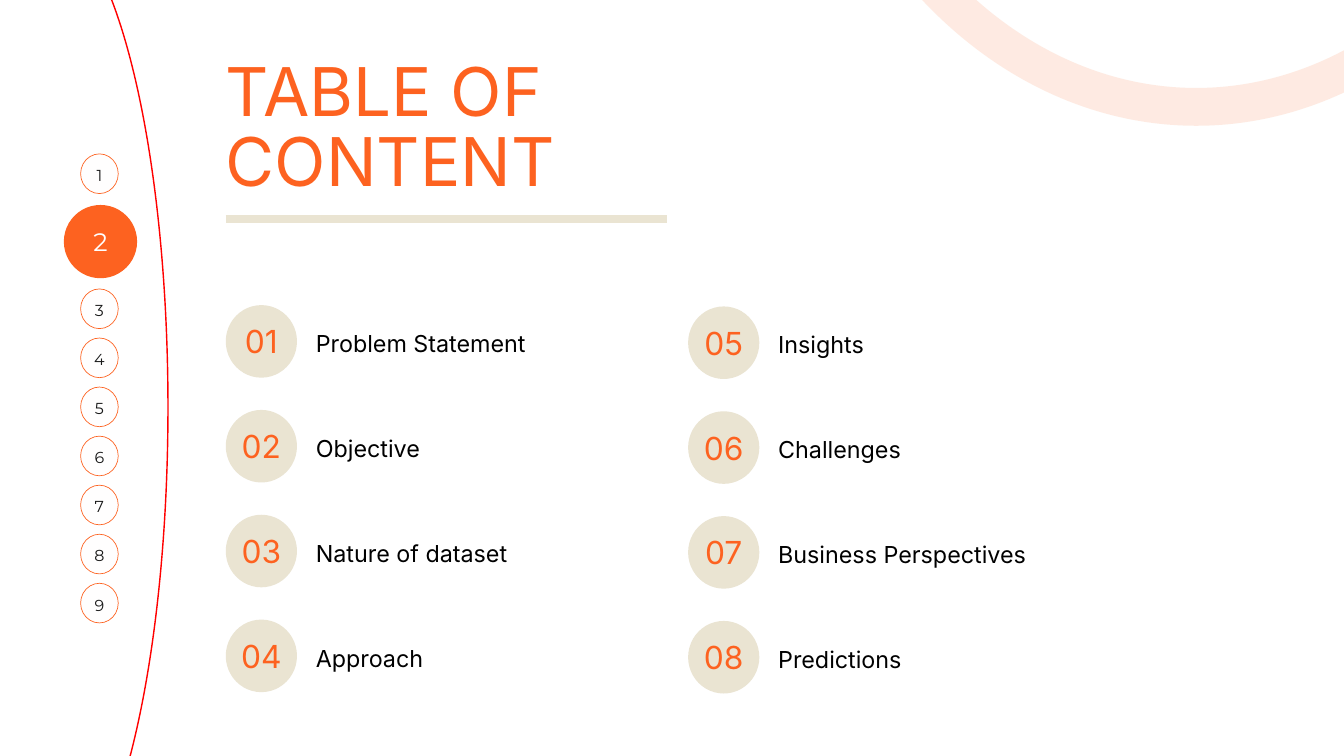
from dataclasses import dataclass
from lxml.etree import SubElement
from pptx import Presentation
from pptx.dml.color import RGBColor
from pptx.enum.shapes import MSO_CONNECTOR, MSO_SHAPE
from pptx.enum.text import MSO_ANCHOR, MSO_AUTO_SIZE, PP_ALIGN
from pptx.oxml.ns import qn
from pptx.util import Pt

PX = 9144  # EMU per px, 100 px to the inch
HUES = {
    "accent": "FD6220", "sand": "EAE4D2", "red": "FF0000",
    "ink": "191919", "black": "000000", "white": "FFFEFE",
}
TOPICS = [
    ["Problem Statement", "Objective", "Nature of dataset", "Approach"],
    ["Insights", "Challenges", "Business Perspectives", "Predictions"],
]


def hue(name):
    return RGBColor.from_string(HUES[name])


def scale(*box):
    return [n * PX for n in box]


@dataclass
class Deck:
    slide: object
    body: str = "Inter"
    index: str = "Montserrat"
    lead: float = 1.4  # line height to text size

    def text(self, frame, words, size, color, font, lead=None,
             align=PP_ALIGN.LEFT, anchor=MSO_ANCHOR.TOP, raised=0):
        frame.margin_left = frame.margin_right = frame.margin_top = 0
        frame.margin_bottom = 2 * raised * PX
        frame.vertical_anchor = anchor
        para = frame.paragraphs[0]
        para.alignment = align
        para.line_spacing = Pt(size * (lead or self.lead))
        para.space_before = Pt(0)
        run = para.add_run()
        run.text = words
        run.font.size = Pt(size)
        run.font.name = font
        run.font.color.rgb = hue(color)

    def title(self, box, words):
        shape = self.slide.shapes.title
        shape.left, shape.top, shape.width, shape.height = scale(*box)
        frame = shape.text_frame
        frame.word_wrap = True
        frame.auto_size = MSO_AUTO_SIZE.NONE
        self.text(frame, words, 72, "accent", self.body, lead=1.05)

    def label(self, box, words):
        frame = self.slide.shapes.add_textbox(*scale(*box)).text_frame
        frame.word_wrap = True
        self.text(frame, words, 25, "black", self.body)

    def rule(self, x1, y1, x2, y2):
        line = self.slide.shapes.add_connector(
            MSO_CONNECTOR.STRAIGHT, *scale(x1, y1, x2, y2))
        line.line.color.rgb = hue("sand")
        line.line.width = Pt(8)
        SubElement(line._element.spPr, qn("a:effectLst"))

    def oval(self, box, fill=None, line=None, width=0.75, alpha=None):
        shape = self.slide.shapes.add_shape(MSO_SHAPE.OVAL, *scale(*box))
        shape.shadow.inherit = False
        if fill:
            shape.fill.solid()
            shape.fill.fore_color.rgb = hue(fill)
        else:
            shape.fill.background()
        if line:
            shape.line.color.rgb = hue(line)
            shape.line.width = Pt(width)
        else:
            shape.line.fill.background()
        if alpha:
            tint = shape._element.spPr.find(
                qn("a:ln") + "//" + qn("a:srgbClr"))
            SubElement(tint, qn("a:alpha")).set("val", str(alpha * 1000))
        return shape

    def badge(self, box, words, size, color, font, fill, line=None, raised=0):
        frame = self.oval(box, fill, line).text_frame
        frame.word_wrap = False
        self.text(frame, words, size, color, font, align=PP_ALIGN.CENTER,
                  anchor=MSO_ANCHOR.MIDDLE, raised=raised)


def main():
    show = Presentation()
    show.slide_width, show.slide_height = scale(2000, 1125)
    deck = Deck(show.slides.add_slide(show.slide_layouts[5]))

    # Heading
    deck.rule(336, 326, 993, 326)
    deck.title((336, 88, 783, 215), "TABLE OF CONTENT")

    # Two columns of numbered topics
    for col, (left, top) in enumerate([(336, 454), (1024, 456)]):
        for row, topic in enumerate(TOPICS[col]):
            y = top + 156 * row
            num = f"{4 * col + row + 1:02}"
            deck.badge((left, y, 106, 108), num, 34, "accent", deck.body,
                       "sand", raised=5)
            deck.label((left + 134, y + 29, 395, 44), topic)

    # Page index along the arc
    deck.oval((-133, -127, 383, 1466), line="red", width=1.5)
    deck.badge((95, 305, 109, 109), "2", 27, "white", deck.index,
               "accent", raised=4)
    for page in (1, 3, 4, 5, 6, 7, 8, 9):
        y = 229 if page == 1 else 430 + 73 * (page - 3)
        deck.badge((120, y, 56, 59), str(page), 17, "ink", deck.index,
                   "white", line="accent")

    # Pale ring in the corner
    deck.oval((1179, -1356, 1202, 1515), line="accent", width=40.5, alpha=12)

    show.save("out.pptx")


if __name__ == "__main__":
    main()
